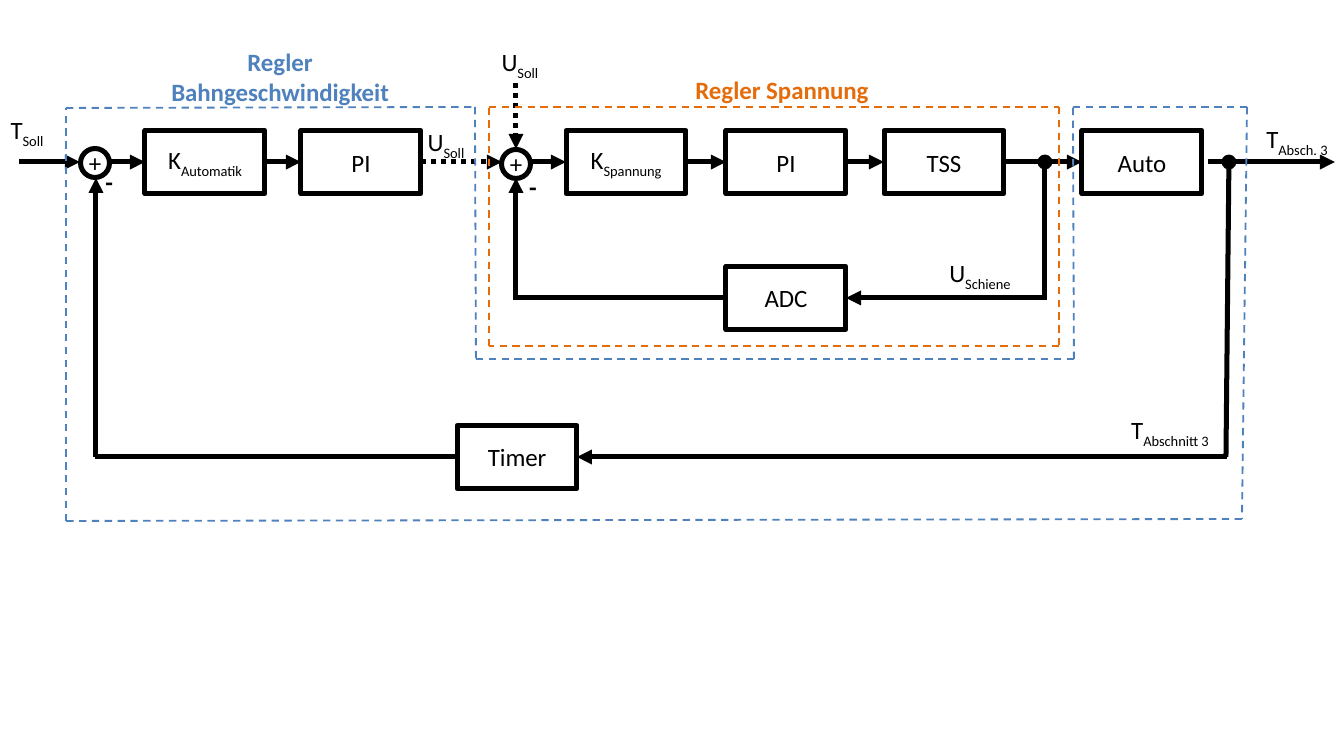
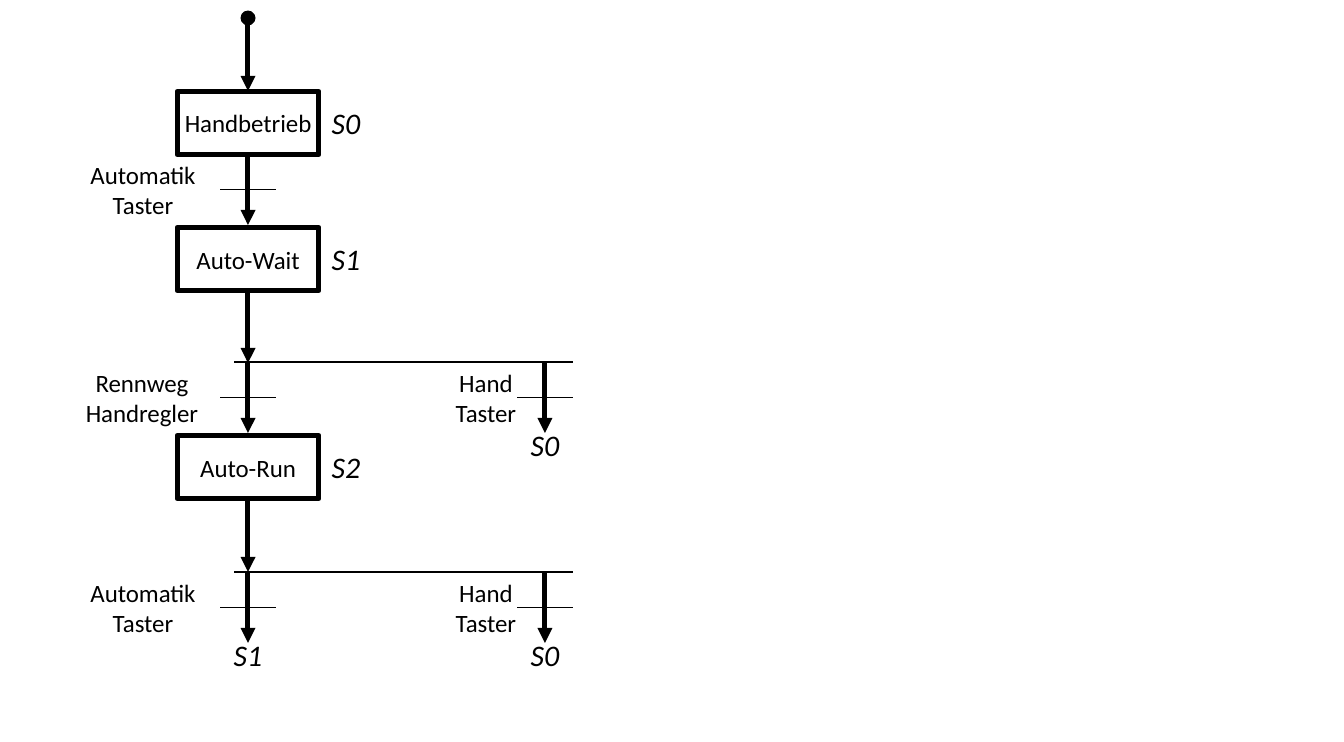
from itertools import pairwise
from lxml.etree import SubElement
from pptx import Presentation
from pptx.dml.color import RGBColor
from pptx.enum.dml import MSO_LINE as DASH
from pptx.enum.shapes import MSO_CONNECTOR as CONN, MSO_SHAPE as SHAPE
from pptx.enum.text import MSO_ANCHOR as ANCHOR, PP_ALIGN as ALIGN
from pptx.oxml.ns import qn
from pptx.util import Emu, Pt

BLACK = RGBColor(0x00, 0x00, 0x00)
BLUE = RGBColor(0x4F, 0x81, 0xBD)
ORANGE = RGBColor(0xE4, 0x6C, 0x0A)
FONT = "Calibri"
SCALE = 914400 / 179.2
WIDTH, HEIGHT = 1344, 742
BLOCK_H, SUM_D, LABEL_W, INSET = 63, 29, 197, 18

# Control loop: an underscore starts a subscript
BLOCK_W = 120
ROW, ROW_ADC, ROW_TIMER = 162, 298, 457
BLOCKS = [  # left, centre y, text
    (145, ROW, "K_Automatik"), (301, ROW, "PI"), (566, ROW, "K_Spannung"),
    (726, ROW, "PI"), (884, ROW, "TSS"), (1082, ROW, "Auto"),
    (726, ROW_ADC, "ADC"), (457, ROW_TIMER, "Timer"),
]
SUMS = [(95, 163), (516, 164)]
SIGNALS = [  # from, to, ends
    ((19, ROW), (80, ROW), {"tail": "triangle"}),
    ((110, ROW), (145, ROW), {"tail": "triangle"}),
    ((265, ROW), (301, ROW), {"tail": "triangle"}),
    ((421, ROW), (502, ROW), {"tail": "triangle", "dash": DASH.ROUND_DOT}),
    ((516, 83), (516, 149), {"tail": "triangle", "dash": DASH.ROUND_DOT}),
    ((531, ROW), (566, ROW), {"tail": "triangle"}),
    ((686, ROW), (726, ROW), {"tail": "triangle"}),
    ((846, ROW), (884, ROW), {"tail": "triangle"}),
    ((1004, ROW), (1082, ROW), {"tail": "triangle"}),
    ((1208, ROW), (1335, ROW), {"tail": "triangle"}),
    # Inner feedback
    ((1045, ROW), (1045, 300), {"head": "oval"}),
    ((1046, ROW_ADC), (846, ROW_ADC), {"tail": "triangle"}),
    ((726, ROW_ADC), (517, ROW_ADC), {}),
    ((516, 300), (516, 178), {"tail": "triangle"}),
    # Outer feedback
    ((1229, ROW), (1226, ROW_TIMER), {"head": "oval"}),
    ((1227, ROW_TIMER), (577, ROW_TIMER), {"tail": "triangle"}),
    ((457, ROW_TIMER), (95, ROW_TIMER), {}),
    ((96, ROW_TIMER), (96, 178), {"tail": "triangle"}),
]
SIGNAL_NAMES = [  # centre x, centre y, text
    (27, 132, "T_Soll"), (446, 144, "U_Soll"), (520, 64, "U_Soll"),
    (980, 275, "U_Schiene"), (1297, 141, "T_Absch. 3"),
    (1170, 432, "T_Abschnitt 3"),
]
MINUS_SIGNS = [(109, 182), (533, 187)]
FRAMES = [  # colour, corners
    (ORANGE, [(489, 107), (1059, 107), (1059, 346), (489, 346)]),
    (BLUE, [(66, 108), (475, 107), (476, 359), (1074, 359), (1073, 107),
            (1247, 107), (1242, 519), (66, 521)]),
]
FRAME_TITLES = [  # centre x, centre y, width, text, colour
    (782, 90, 230, "Regler Spannung", ORANGE),
    (280, 77, 258, "Regler Bahngeschwindigkeit", BLUE),
]

# State chart
STATE_W, MAIN_X, SIDE_X = 142, 248, 545
STATES = [("Handbetrieb", "S0", 123), ("Auto-Wait", "S1", 259),
          ("Auto-Run", "S2", 467)]
ENTRIES = [  # from y, to y, ends
    (18, 91, {"head": "oval", "tail": "triangle"}),
    (290, 363, {"tail": "triangle"}),
    (501, 572, {"tail": "triangle"}),
]
BRANCH_BARS = [362, 572]
STEP, TICK_HALF = 71, 28
TRANSITIONS = [  # x, top y, condition, offset of condition, next state
    (MAIN_X, 154, "Automatik Taster", -105, None),
    (MAIN_X, 362, "Rennweg Handregler", -106, None),
    (SIDE_X, 362, "Hand\nTaster", -59, "S0"),
    (MAIN_X, 572, "Automatik Taster", -105, "S1"),
    (SIDE_X, 572, "Hand\nTaster", -59, "S0"),
]


def px(n):
    return Emu(round(n * SCALE))


def write(sp, text, inset=0, wrap=True, **fmt):
    """Centred text; what follows an underscore is set as a subscript."""
    tf = sp.text_frame
    frame = dict(word_wrap=wrap, vertical_anchor=ANCHOR.MIDDLE,
                 margin_left=px(inset), margin_right=px(inset),
                 margin_top=0, margin_bottom=0)
    for name, value in frame.items():
        setattr(tf, name, value)
    color = fmt.pop("color", BLACK)
    for i, line in enumerate(text.split("\n")):
        p = tf.add_paragraph() if i else tf.paragraphs[0]
        p.alignment = ALIGN.CENTER
        for level, part in enumerate(line.split("_")):
            r = p.add_run()
            r.text = part
            for name, value in (dict(name=FONT, size=Pt(10)) | fmt).items():
                setattr(r.font, name, value)
            r.font.color.rgb = color
            if level:
                r._r.get_or_add_rPr().set("baseline", "-25000")


def add_label(s, cx, cy, text, w=LABEL_W, h=48, **fmt):
    sp = s.shapes.add_textbox(px(cx - w / 2), px(cy - h / 2), px(w), px(h))
    write(sp, text, inset=INSET, **fmt)


def add_block(s, cx, cy, w, h, text, kind=SHAPE.RECTANGLE):
    sp = s.shapes.add_shape(kind, px(cx - w / 2), px(cy - h / 2), px(w), px(h))
    sp.shadow.inherit = False
    sp.fill.background()
    sp.line.color.rgb = BLACK
    sp.line.width = Pt(2)
    write(sp, text, wrap=False)


def add_line(s, start, end, color=BLACK, width=2, dash=None, **ends):
    c = s.shapes.add_connector(CONN.STRAIGHT, *map(px, start + end))
    c.line.color.rgb = color
    c.line.width = Pt(width)
    if dash:
        c.line.dash_style = dash
    ln = c.line._get_or_add_ln()
    for side in ("head", "tail"):
        if side in ends:
            SubElement(ln, qn(f"a:{side}End"), type=ends[side])
    SubElement(c._element.spPr, qn("a:effectLst"))


def build_control_loop(s):
    for left, cy, text in BLOCKS:
        add_block(s, left + BLOCK_W / 2, cy, BLOCK_W, BLOCK_H, text)
    for cx, cy in SUMS:
        add_block(s, cx, cy, SUM_D, SUM_D, "+", SHAPE.OVAL)
    for start, end, style in SIGNALS:
        add_line(s, start, end, **style)
    for label in SIGNAL_NAMES:
        add_label(s, *label)
    for cx, cy in MINUS_SIGNS:
        add_label(s, cx, cy, "-", w=50, bold=True)
    for color, corners in FRAMES:
        for start, end in pairwise(corners + corners[:1]):
            add_line(s, start, end, color, 0.75, DASH.DASH)
    for cx, cy, w, text, color in FRAME_TITLES:
        add_label(s, cx, cy, text, w=w, color=color, bold=True)


def build_state_chart(s):
    state_name = dict(size=Pt(12), italic=True)
    for text, name, cy in STATES:
        add_block(s, MAIN_X, cy, STATE_W, BLOCK_H, text)
        add_label(s, MAIN_X + 98, cy, name, **state_name)
    for top, bottom, ends in ENTRIES:
        add_line(s, (MAIN_X, top), (MAIN_X, bottom), **ends)
    for y in BRANCH_BARS:
        add_line(s, (SIDE_X + TICK_HALF, y), (MAIN_X - 14, y), width=1)
    for x, top, condition, offset, target in TRANSITIONS:
        tick_y = top + STEP / 2
        add_line(s, (x, top), (x, top + STEP), tail="triangle")
        add_line(s, (x + TICK_HALF, tick_y), (x - TICK_HALF, tick_y), width=0.75)
        add_label(s, x + offset, tick_y, condition, h=79)
        if target:
            add_label(s, x, top + STEP + 12, target, **state_name)


prs = Presentation()
prs.slide_width, prs.slide_height = px(WIDTH), px(HEIGHT)
for build in (build_control_loop, build_state_chart):
    build(prs.slides.add_slide(prs.slide_layouts[6]))
prs.save("out.pptx")
